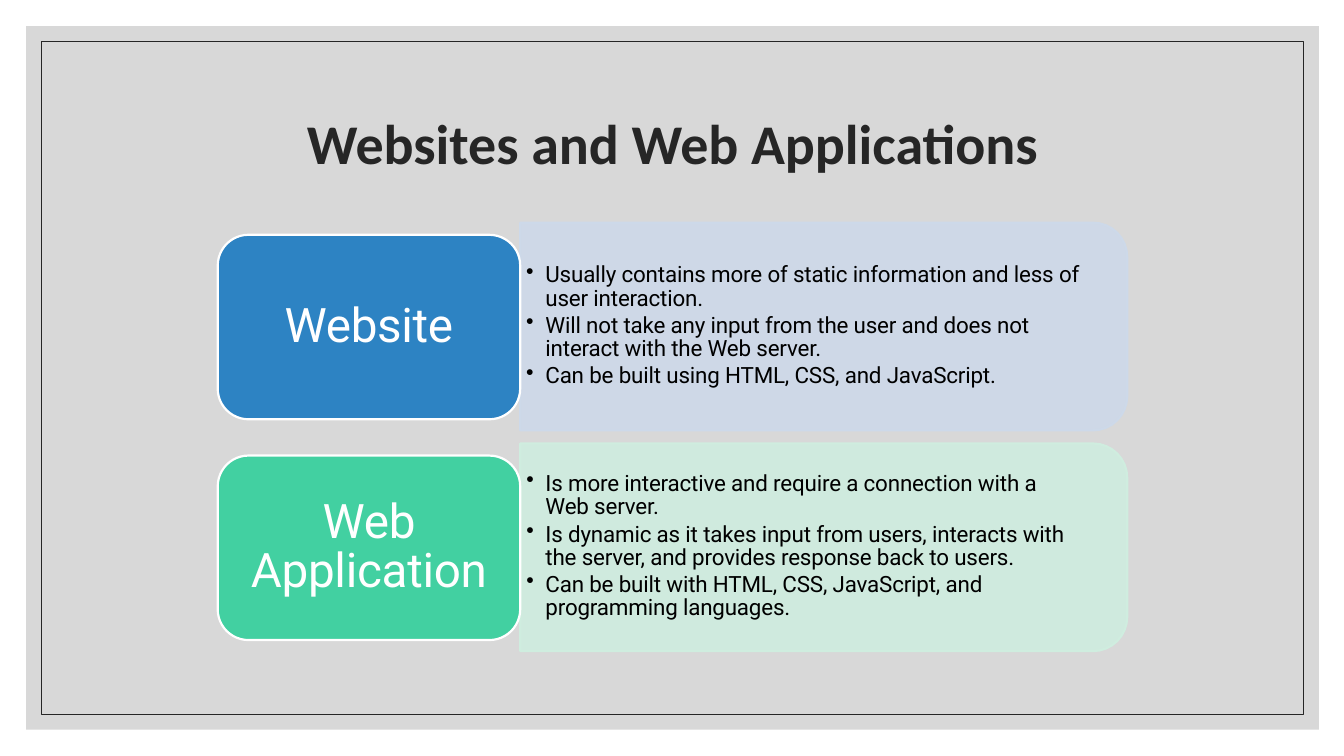
from dataclasses import dataclass
from math import cos, pi, sin

from lxml.etree import SubElement
from pptx import Presentation
from pptx.dml.color import RGBColor
from pptx.enum.shapes import MSO_SHAPE
from pptx.enum.text import MSO_ANCHOR, PP_ALIGN
from pptx.oxml.ns import qn
from pptx.util import Inches, Pt


@dataclass(frozen=True)
class Theme:
    frame: str = "BFBFBF"
    ink: str = "262626"
    body: str = "000000"
    white: str = "FFFFFF"
    heading_font: str = "Calibri"
    body_font: str = "Roboto"
    title_size: float = 40
    label_size: float = 34
    bullet_size: float = 16
    outline: float = 1.56


class SlideBuilder:
    def __init__(self, slide, theme):
        self.slide = slide
        self.theme = theme

    def paint(self, shape, fill=None, alpha=100, line=None, line_width=0.5):
        """Set the fill and outline of a shape."""
        shape.shadow.inherit = False
        if fill:
            shape.fill.solid()
            shape.fill.fore_color.rgb = RGBColor.from_string(fill)
            if alpha < 100:
                color = shape._element.spPr.find(qn("a:solidFill"))[0]
                SubElement(color, qn("a:alpha"), val=str(alpha * 1000))
        else:
            shape.fill.background()
        if line:
            shape.line.color.rgb = RGBColor.from_string(line)
            shape.line.width = Pt(line_width)
        else:
            shape.line.fill.background()

    def prepare(self, frame, anchor, top_inset=0):
        layout = {"word_wrap": True, "vertical_anchor": anchor, "margin_left": 0,
                  "margin_right": 0, "margin_top": Inches(top_inset), "margin_bottom": 0}
        for name, value in layout.items():
            setattr(frame, name, value)

    def add_text(self, paragraph, text, size, color, font, bold=False, tracking=0, **layout):
        for name, value in layout.items():
            setattr(paragraph, name, value)
        run = paragraph.add_run()
        run.text = text
        style = {"size": Pt(size), "name": font, "bold": bold}
        for name, value in style.items():
            setattr(run.font, name, value)
        run.font.color.rgb = RGBColor.from_string(color)
        run._r.get_or_add_rPr().set("spc", str(round(tracking * 100)))

    def box(self, left, top, width, height, preset=MSO_SHAPE.RECTANGLE, **look):
        shape = self.slide.shapes.add_shape(
            preset, Inches(left), Inches(top), Inches(width), Inches(height))
        self.paint(shape, **look)
        return shape

    def title(self, text, left, top, width, height):
        heading = self.slide.shapes.add_textbox(
            Inches(left), Inches(top), Inches(width), Inches(height)).text_frame
        self.prepare(heading, MSO_ANCHOR.MIDDLE)
        self.add_text(heading.paragraphs[0], text, self.theme.title_size, self.theme.ink,
                      self.theme.heading_font, bold=True, alignment=PP_ALIGN.CENTER,
                      line_spacing=0.9)

    def panel(self, left, top, width, height, radius, color):
        """Draw a panel with square left corners and round right corners."""
        right, bottom = left + width, top + height

        def arc(center_y, start):
            angles = [start + step * pi / 16 for step in range(9)]
            return [(Inches(right - radius + radius * cos(a)),
                     Inches(center_y + radius * sin(a))) for a in angles]

        outline = self.slide.shapes.build_freeform(Inches(left), Inches(top))
        outline.add_line_segments(
            arc(top + radius, -pi / 2) + arc(bottom - radius, 0)
            + [(Inches(left), Inches(bottom))], close=True)
        self.paint(outline.convert_to_shape(), fill=color, alpha=90, line=color,
                   line_width=self.theme.outline)

    def bullets(self, items, left, top, width, height):
        frame = self.slide.shapes.add_textbox(
            Inches(left), Inches(top), Inches(width), Inches(height)).text_frame
        self.prepare(frame, MSO_ANCHOR.TOP, top_inset=0.05)
        for index, (item, gap) in enumerate(zip(items, (3.6, 2.8, 2.6))):
            paragraph = frame.add_paragraph() if index else frame.paragraphs[0]
            self.add_text(paragraph, item, self.theme.bullet_size, self.theme.body,
                          self.theme.body_font, tracking=-0.1,
                          line_spacing=Pt(16.7), space_before=Pt(gap))
            properties = paragraph._p.get_or_add_pPr()
            properties.set("marL", str(Inches(0.2)))
            properties.set("indent", str(Inches(-0.19)))
            SubElement(properties, qn("a:buChar"), char="•")

    def label(self, text, left, top, width, height, color):
        card = self.box(left, top, width, height, MSO_SHAPE.ROUNDED_RECTANGLE, fill=color,
                        line=self.theme.white, line_width=self.theme.outline)
        self.prepare(card.text_frame, MSO_ANCHOR.MIDDLE)
        self.add_text(card.text_frame.paragraphs[0], text, self.theme.label_size,
                      self.theme.white, self.theme.body_font, tracking=-0.2,
                      alignment=PP_ALIGN.CENTER, line_spacing=Pt(35.5))


# Name, label colour, panel colour, bullet area (top, width, height), bullets
TOPICS = [
    ("Website", "2D83C3", "CDD9E9", (2.57, 5.66, 1.3), [
        "Usually contains more of static information and less of user interaction.",
        "Will not take any input from the user and does not interact with the Web server.",
        "Can be built using HTML, CSS, and JavaScript.",
    ]),
    ("Web Application", "42D0A1", "CFEDDF", (4.64, 5.55, 1.53), [
        "Is more interactive and require a connection with a Web server.",
        "Is dynamic as it takes input from users, interacts with the server, "
        "and provides response back to users.",
        "Can be built with HTML, CSS, JavaScript, and programming languages.",
    ]),
]
FIRST_TOP, ROW_PITCH = 2.21, 2.19


def main():
    deck = Presentation()
    deck.slide_width, deck.slide_height = Inches(13.33), Inches(7.5)
    theme = Theme()
    builder = SlideBuilder(deck.slides.add_slide(deck.slide_layouts[6]), theme)

    # Background frame
    builder.box(0.26, 0.26, 12.82, 6.98, fill=theme.frame, alpha=60)
    builder.box(0.41, 0.41, 12.52, 6.68, line=theme.ink)

    # Heading
    builder.title("Websites and Web Applications", 1.17, 0.7, 11, 1.5)

    # One row per topic
    for row, (name, strong, pale, (text_top, text_width, text_height), items) in enumerate(TOPICS):
        top = FIRST_TOP + row * ROW_PITCH
        builder.panel(5.16, top, 6.02, 2.06, 0.34, pale)
        builder.bullets(items, 5.21, text_top, text_width, text_height)
        builder.label(name, 2.16, top + 0.12, 3, 1.83, strong)

    deck.save("out.pptx")


if __name__ == "__main__":
    main()
